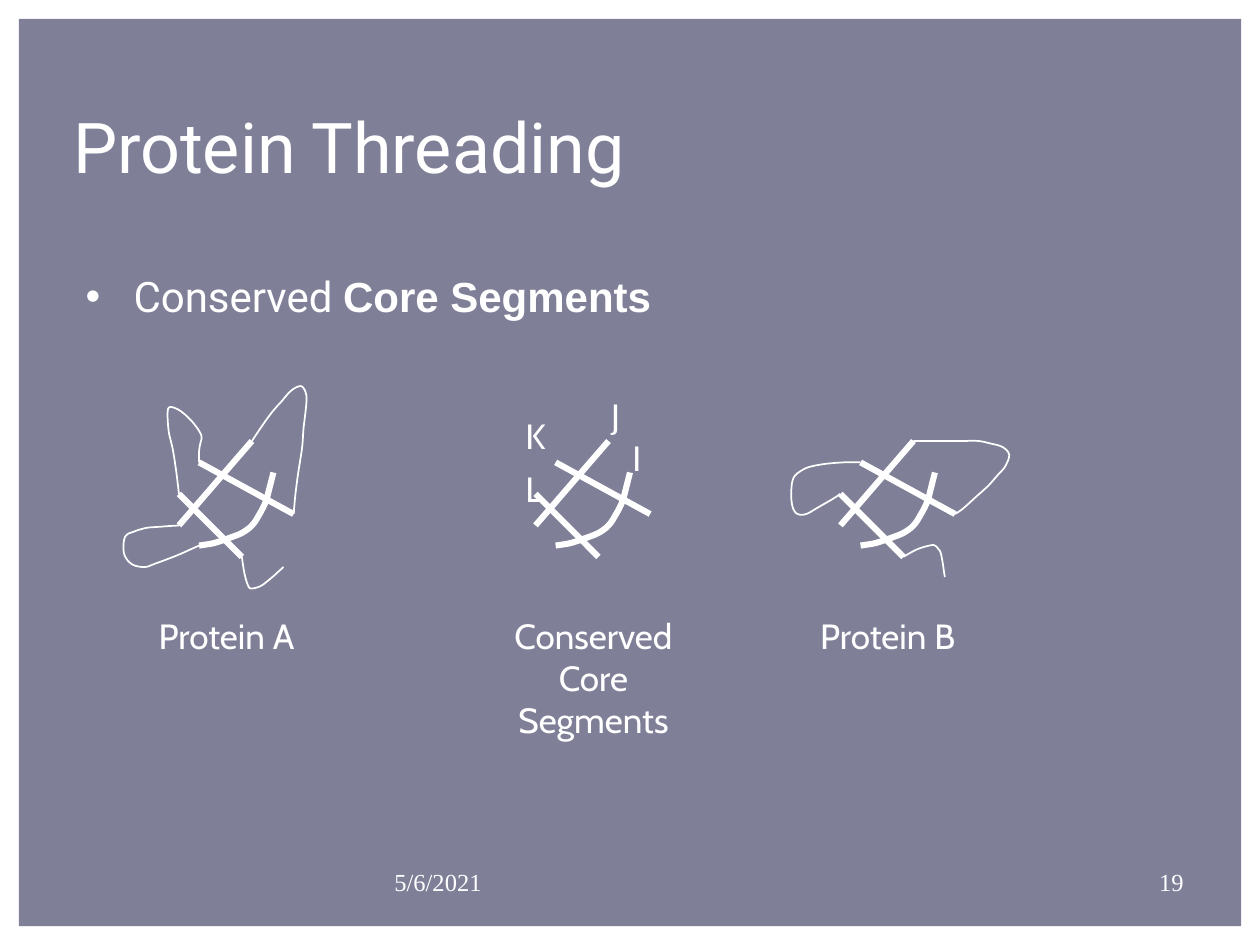
import pptx
import pptx.dml.color
import pptx.enum.shapes
import pptx.enum.text
import pptx.oxml
import pptx.oxml.ns
import pptx.util

Inches = pptx.util.Inches
Pt = pptx.util.Pt

COLORS = {"panel": "000033", "ink": "FFFFFF"}
UNITS = 1000
CORE_TOP = 3.5
CORE_LEFT = {"A": 1.42, "core": 4.25, "B": 6.67}

STRANDS = [
    [(16, 17), (91, 58)],
    [(0, 42), (50, 92)],
    [(0, 67), (58, 0)],
    [(16, 83), (28, 81), (40, 77), (50, 73), (58, 67), (64, 58), (69, 48),
     (72, 37), (75, 25)],
]
LOOPS = {
    "A": [
        [(0, 67), (-14, 68), (-26, 69), (-36, 72), (-42, 75), (-44, 82),
         (-43, 91), (-37, 98), (-27, 100), (-18, 97), (-2, 91), (16, 83)],
        [(58, 0), (66, -12), (74, -23), (82, -32), (88, -39), (94, -43),
         (98, -43), (101, -37), (101, -28), (99, -11), (98, 3), (96, 17),
         (94, 30), (92, 47), (91, 58)],
        [(0, 42), (-2, 25), (-5, 6), (-8, -7), (-9, -22), (-7, -27), (1, -24),
         (10, -16), (16, -8), (18, -3), (17, 2), (16, 8), (16, 17)],
        [(50, 92), (52, 105), (55, 115), (58, 117), (65, 115), (73, 109),
         (83, 100)],
    ],
    "B": [
        [(58, 0), (72, 0), (85, 0), (98, 0), (109, 0), (119, 2), (129, 5),
         (134, 11), (131, 20), (125, 27), (117, 36), (107, 45), (97, 54),
         (91, 58)],
        [(16, 17), (3, 17), (-10, 18), (-22, 20), (-30, 23), (-37, 29),
         (-39, 40), (-38, 52), (-34, 58), (-27, 58), (-18, 53), (-6, 46),
         (0, 42)],
        [(50, 92), (61, 86), (71, 83), (75, 83), (78, 86), (80, 90),
         (82, 102), (83, 108)],
    ],
}


def rgb(name):
    return pptx.dml.color.RGBColor.from_string(COLORS[name])


def add_run(p, text, font="Cabin", size=20, bold=False, color="ink"):
    r = p.add_run()
    r.text = text
    r.font.name = font
    r.font.size = Pt(size)
    r.font.bold = bold
    r.font.color.rgb = rgb(color)
    return r


def smooth(points, steps=4):
    ends = [points[0]] + points + [points[-1]]
    result = [points[0]]
    for a, b, c, d in zip(ends, ends[1:], ends[2:], ends[3:]):
        for step in range(1, steps + 1):
            t = step / steps
            result.append(tuple(
                (2 * q + (s - p) * t + (2 * p - 5 * q + 4 * s - u) * t ** 2
                 + (3 * q - p - 3 * s + u) * t ** 3) / 2
                for p, q, s, u in zip(a, b, c, d)))
    return result


class SlideBuilder:
    def __init__(self, slide):
        self.slide = slide
        self.shapes = slide.shapes

    def panel(self, x, y, w, h):
        sp = self.shapes.add_shape(
            pptx.enum.shapes.MSO_SHAPE.RECTANGLE,
            Inches(x), Inches(y), Inches(w), Inches(h))
        sp.shadow.inherit = False
        sp.line.fill.background()
        sp.fill.solid()
        sp.fill.fore_color.rgb = rgb("panel")
        clr = sp._element.spPr.find(".//" + pptx.oxml.ns.qn("a:srgbClr"))
        clr.append(pptx.oxml.parse_xml(
            '<a:alpha %s val="50000"/>' % pptx.oxml.ns.nsdecls("a")))
        self.shapes._spTree.insert(2, sp._element)

    def frame(self, sp, x, y, w, h):
        sp.left, sp.top, sp.width, sp.height = map(Inches, (x, y, w, h))
        tf = sp.text_frame
        tf.word_wrap = True
        tf.auto_size = pptx.enum.text.MSO_AUTO_SIZE.NONE
        tf.vertical_anchor = pptx.enum.text.MSO_ANCHOR.TOP
        tf.margin_left = tf.margin_right = tf.margin_bottom = 0
        tf.margin_top = Inches(0.01)
        return tf

    def title(self, text, *box):
        p = self.frame(self.shapes.title, *box).paragraphs[0]
        p.alignment = pptx.enum.text.PP_ALIGN.LEFT
        add_run(p, text, font="Roboto", size=40)

    def bullet(self, plain, strong, *box):
        p = self.frame(self.slide.placeholders[1], *box).paragraphs[0]
        pPr = p._p.get_or_add_pPr()
        pPr.set("marL", str(Inches(0.39)))
        pPr.set("indent", str(Inches(-0.38)))
        pPr.append(pptx.oxml.parse_xml(
            '<a:buChar %s char="•"/>' % pptx.oxml.ns.nsdecls("a")))
        p.space_before = Pt(0)
        add_run(p, plain, font="Roboto", size=24)
        add_run(p, strong, font="Arial", size=24, bold=True)

    def label(self, lines, *box, indents=(0.01,), spacing=None, center=False,
              **style):
        tf = self.frame(self.shapes.add_textbox(0, 0, 0, 0), *box)
        for i, (text, indent) in enumerate(zip(lines, indents)):
            p = tf.add_paragraph() if i else tf.paragraphs[0]
            p._p.get_or_add_pPr().set("marL", str(Inches(indent)))
            if spacing:
                p.line_spacing = spacing
            if center:
                p.alignment = pptx.enum.text.PP_ALIGN.CENTER
            add_run(p, text, **style)

    def curves(self, left, paths, width):
        builder = None
        for path_points in paths:
            points = [(round(left * UNITS + 10 * x),
                       round(CORE_TOP * UNITS + 10 * y))
                      for x, y in smooth(path_points)]
            if builder is None:
                builder = self.shapes.build_freeform(
                    *points[0], scale=Inches(1) / UNITS)
            else:
                builder.move_to(*points[0])
            builder.add_line_segments(points[1:], close=False)
        sp = builder.convert_to_shape()
        sp.shadow.inherit = False
        sp.fill.background()
        sp.line.color.rgb = rgb("ink")
        sp.line.width = Pt(width)


def main():
    prs = pptx.Presentation()
    prs.slide_width, prs.slide_height = Inches(10), Inches(7.5)
    s = SlideBuilder(prs.slides.add_slide(prs.slide_layouts[1]))

    s.panel(0.15, 0.15, 9.7, 7.2)
    s.title("Protein Threading", 0.58, 0.81, 5, 0.69)
    s.bullet("Conserved ", "Core Segments", 0.67, 2.14, 5, 0.43)

    for name, left in CORE_LEFT.items():
        s.curves(left, STRANDS, 3.5)
        if name in LOOPS:
            s.curves(left, LOOPS[name], 1)
            s.label(["Protein " + name], left - 0.17, 4.87, 1.14, 0.36)

    s.label(["Conserved Core Segments"], 4.05, 4.87, 1.31, 1.03, center=True)
    s.label(["K", "L"], 4.09, 3.2, 0.28, 0.86, indents=(0.08, 0.08),
            spacing=1.25)
    s.label(["J", "I"], 4.84, 3.12, 0.3, 0.7, indents=(0.01, 0.18))

    footer = {"font": "Times New Roman", "size": 14, "spacing": Pt(16.3)}
    s.label(["5/6/2021"], 3.12, 6.88, 3.25, 0.24, **footer)
    s.label(["19"], 9.16, 6.88, 0.28, 0.24, indents=(0.04,), **footer)

    prs.save("out.pptx")


if __name__ == "__main__":
    main()
